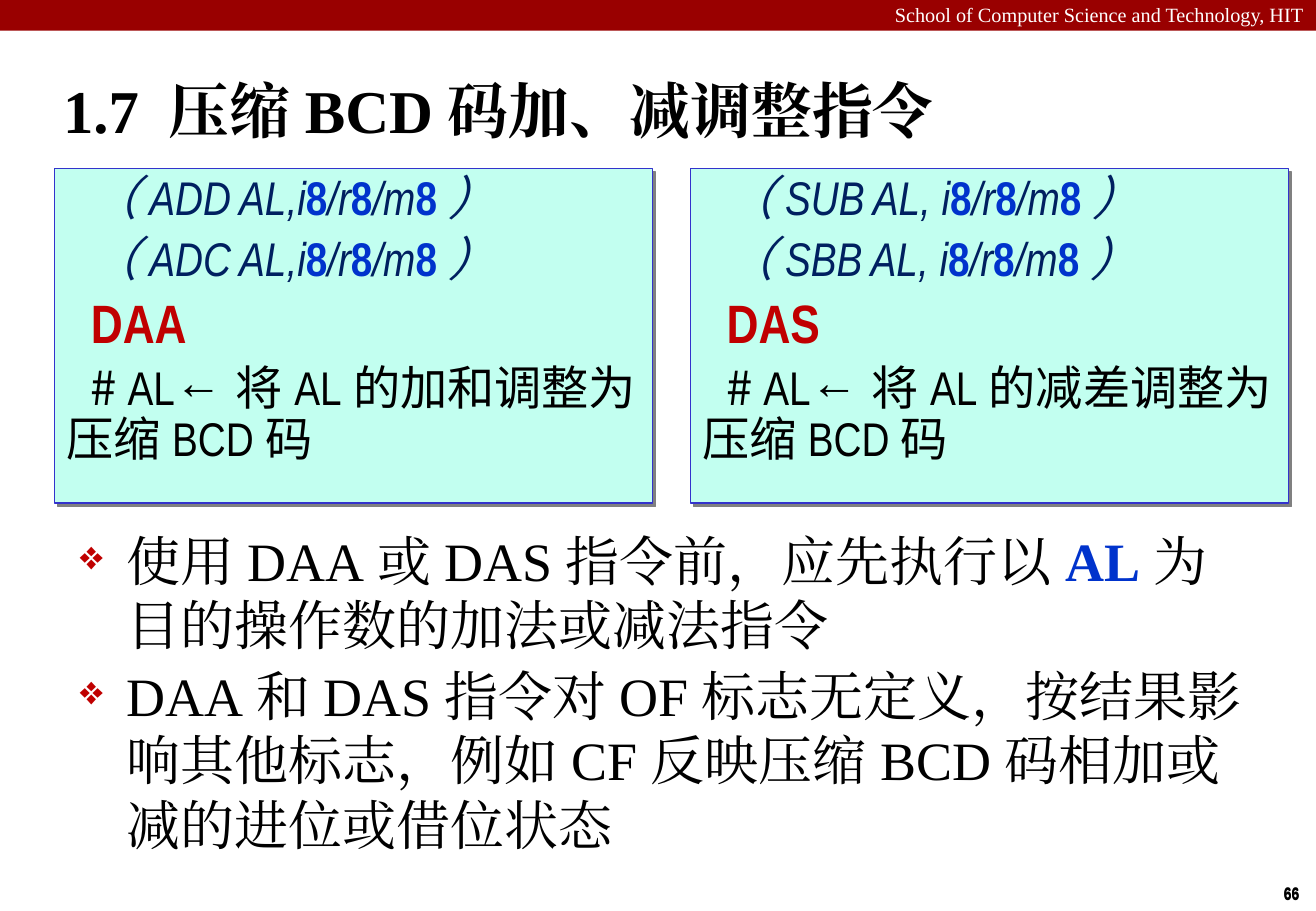
from lxml import etree
from pptx import Presentation
from pptx import util as u
from pptx.dml import color
from pptx.enum import shapes, text
from pptx.oxml import ns

SERIF, NARROW, SYMBOL = "Times New Roman", "Arial Narrow", "Noto Sans CJK SC"
BLACK, WHITE, NAVY, BLUE, RED = "000000", "FFFFFF", "002060", "0033CC", "C00000"
KEYWORD = {"color": BLUE, "bold": True, "italic": False}


def rgb(value):
    return color.RGBColor.from_string(value)


def add_xml(parent, tag, **attributes):
    return etree.SubElement(parent, ns.qn(tag), attributes)


def style_font(font, color=None, **settings):
    for name, value in settings.items():
        setattr(font, name, value)
    if color:
        font.color.rgb = rgb(color)


def add_bullet(properties):
    bullet_color = add_xml(properties, "a:buClr")
    add_xml(bullet_color, "a:srgbClr", val=RED)
    add_xml(properties, "a:buSzPct", val="75000")
    add_xml(properties, "a:buChar", char="❖")


def write_paragraph(frame, runs, font, size, ink=BLACK, bold=False, italic=False,
                    align=text.PP_ALIGN.LEFT, margin=0, indent=0, before=0,
                    line_spacing=None, bullet=False):
    """Fill the empty first paragraph or add one; runs are (words, font overrides)."""
    paragraph = frame.paragraphs[0]
    if paragraph.runs:
        paragraph = frame.add_paragraph()
        paragraph.space_before = u.Pt(before)
    paragraph.alignment = align
    if line_spacing:
        paragraph.line_spacing = line_spacing
    properties = paragraph._p.get_or_add_pPr()
    properties.set("marL", str(u.Cm(margin)))
    properties.set("indent", str(u.Cm(indent)))
    if bullet:
        add_bullet(properties)
    style_font(paragraph.font, color=ink, name=font, size=u.Pt(size),
               bold=bold, italic=italic)
    # East Asian characters share the paragraph's typeface.
    add_xml(properties.find(ns.qn("a:defRPr")), "a:ea", typeface=font)
    for words, overrides in runs:
        run = paragraph.add_run()
        run.text = words
        style_font(run.font, **overrides)


def add_text(slide, left, top, width, height, wrap=True):
    box = slide.shapes.add_textbox(u.Cm(left), u.Cm(top), u.Cm(width), u.Cm(height))
    box.text_frame.word_wrap = wrap
    return box.text_frame


def add_rectangle(slide, left, top, width, height, fill):
    shape = slide.shapes.add_shape(shapes.MSO_SHAPE.RECTANGLE, u.Cm(left), u.Cm(top),
                                   u.Cm(width), u.Cm(height))
    shape.shadow.inherit = False
    shape.fill.solid()
    shape.fill.fore_color.rgb = rgb(fill)
    shape.line.fill.background()
    return shape


def add_drop_shadow(shape):
    effects = shape._element.spPr.find(ns.qn("a:effectLst"))
    shadow = add_xml(effects, "a:outerShdw", dist=str(u.Pt(2.8)), dir="2700000",
                     algn="ctr", rotWithShape="0")
    add_xml(shadow, "a:srgbClr", val="808080")


def code_runs(code):
    """Split a line of code so that each operand width 8 stands out."""
    first, *rest = code.split("8")
    runs = [(first, {})]
    for part in rest:
        runs += [("8", KEYWORD), (part, {})]
    return runs


def add_instruction_panel(slide, left, code_lines, instruction, effect):
    panel = add_rectangle(slide, left, 3.53, 12.5, 6.99, "C2FFF0")
    panel.line.color.rgb = rgb("3333CC")
    panel.line.width = u.Pt(0.75)
    add_drop_shadow(panel)
    frame = panel.text_frame
    frame.word_wrap = True
    frame.vertical_anchor = text.MSO_ANCHOR.TOP
    layout = {"indent": 0.51, "line_spacing": 0.9}
    for code in code_lines:
        write_paragraph(frame, code_runs(code), NARROW, 28, NAVY, italic=True,
                        before=5.6, **layout)
    write_paragraph(frame, [(instruction, {})], NARROW, 32, RED, bold=True,
                    before=6.4, **layout)
    write_paragraph(frame, [("# ", {"name": SYMBOL}), (effect, {})], NARROW, 28,
                    before=5.6, **layout)


def add_header(slide):
    add_rectangle(slide, 0, 0, 27.51, 0.64, "990000")
    write_paragraph(add_text(slide, 0, -0.08, 27.51, 0.76),
                    [("School of Computer Science and Technology, HIT", {})],
                    SERIF, 12, WHITE, align=text.PP_ALIGN.RIGHT)


def add_page_number(slide, top):
    write_paragraph(add_text(slide, 26.57, top, 0.86, 0.69, wrap=False), [("66", {})],
                    NARROW, 10, bold=True, align=text.PP_ALIGN.CENTER)


def add_title(slide, words):
    frame = add_text(slide, 1.07, 1.22, 26.44, 2.11)
    frame.vertical_anchor = text.MSO_ANCHOR.MIDDLE
    write_paragraph(frame, [(words, {})], SERIF, 36, bold=True,
                    margin=0.33, indent=-0.33)


def add_notes_on_use(slide, points):
    frame = add_text(slide, 1.42, 10.9, 24.99, 7.59)
    for runs in points:
        write_paragraph(frame, runs, SERIF, 32, margin=0.97, indent=-0.97,
                        before=3.2, bullet=True)


def main():
    presentation = Presentation()
    presentation.slide_width = u.Cm(27.51)
    presentation.slide_height = u.Cm(19.05)
    slide = presentation.slides.add_slide(presentation.slide_layouts[6])

    add_header(slide)
    for top in (18.36, 18.34):
        add_page_number(slide, top)
    add_title(slide, "1.7 压缩BCD码加、减调整指令")
    add_instruction_panel(slide, 1.14, ["（ADD AL,i8/r8/m8）", "（ADC AL,i8/r8/m8）"],
                          "DAA", "AL←将AL的加和调整为压缩BCD码")
    add_instruction_panel(slide, 14.43, ["（SUB AL, i8/r8/m8）", "（SBB AL, i8/r8/m8）"],
                          "DAS", "AL←将AL的减差调整为压缩BCD码")
    add_notes_on_use(slide, [
        [("使用DAA或DAS指令前，应先执行以", {}), ("AL", KEYWORD),
         ("为目的操作数的加法或减法指令", {})],
        [("DAA和DAS指令对OF标志无定义，按结果影响其他标志，"
          "例如CF反映压缩BCD码相加或减的进位或借位状态", {})],
    ])
    presentation.save("out.pptx")


if __name__ == "__main__":
    main()
